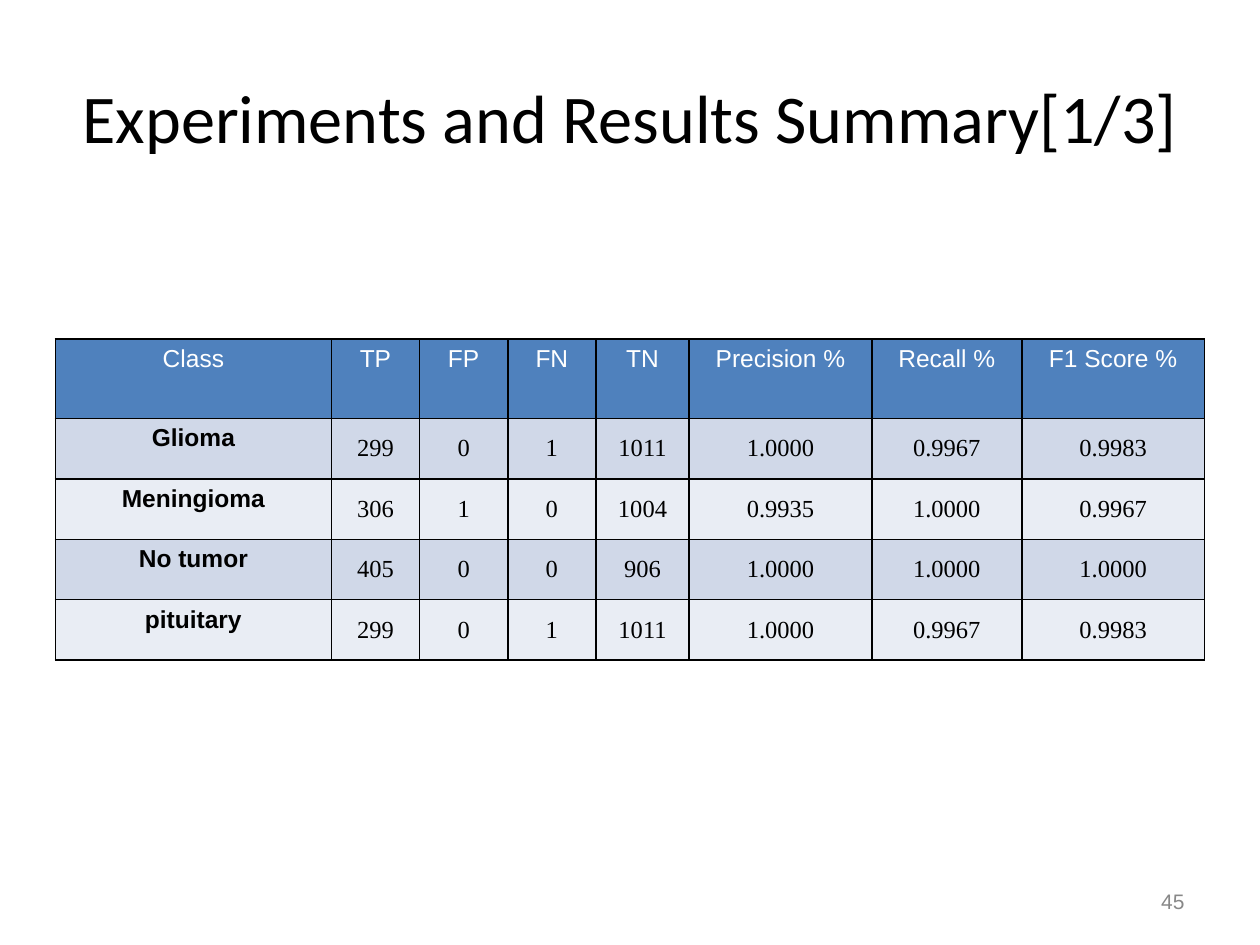
from dataclasses import dataclass

from lxml.etree import SubElement
from pptx import Presentation
from pptx.dml.color import RGBColor
from pptx.enum.text import MSO_ANCHOR, MSO_AUTO_SIZE, PP_ALIGN
from pptx.oxml.ns import qn
from pptx.util import Inches, Pt


@dataclass(frozen=True)
class Theme:
    ink: str = "000000"
    muted: str = "888888"
    header_text: str = "FFFFFF"
    header_fill: str = "4F81BD"
    bands: tuple = ("D0D8E8", "E9EDF4")
    title_font: str = "Calibri"
    label_font: str = "Arial"
    value_font: str = "Times New Roman"
    title_size: int = 39
    table_size: int = 14
    number_size: int = 12
    border_width: int = 1


def set_attributes(target, values):
    for name, value in values.items():
        setattr(target, name, value)


class SlideBuilder:
    COLUMNS = 20
    ROWS = 15

    def __init__(self, presentation, theme):
        self.theme = theme
        self.column = presentation.slide_width / self.COLUMNS
        self.row = presentation.slide_height / self.ROWS
        self.slide = presentation.slides.add_slide(presentation.slide_layouts[5])

    def across(self, columns):
        return round(columns * self.column)

    def down(self, rows):
        return round(rows * self.row)

    def box(self, left, top, width, height):
        return {
            "left": self.across(left),
            "top": self.down(top),
            "width": self.across(width),
            "height": self.down(height),
        }

    def add_text(self, frame, text, font, size, color, align=PP_ALIGN.CENTER, bold=False):
        paragraph = frame.paragraphs[0]
        paragraph.alignment = align
        run = paragraph.add_run()
        run.text = text
        set_attributes(run.font, {"name": font, "size": Pt(size), "bold": bold})
        run.font.color.rgb = RGBColor.from_string(color)

    def format_frame(self, frame):
        set_attributes(frame, {
            "word_wrap": True,
            "auto_size": MSO_AUTO_SIZE.NONE,
            "vertical_anchor": MSO_ANCHOR.MIDDLE,
        })

    def title(self, text, *place):
        shape = self.slide.shapes.title
        set_attributes(shape, self.box(*place))
        self.format_frame(shape.text_frame)
        self.add_text(shape.text_frame, text, self.theme.title_font,
                      self.theme.title_size, self.theme.ink)

    def page_number(self, text, *place):
        shape = self.slide.shapes.add_textbox(**self.box(*place))
        self.format_frame(shape.text_frame)
        self.add_text(shape.text_frame, text, self.theme.label_font,
                      self.theme.number_size, self.theme.muted, PP_ALIGN.RIGHT)

    def border(self, cell):
        properties = cell._tc.get_or_add_tcPr()
        for position, side in enumerate(("a:lnL", "a:lnR", "a:lnT", "a:lnB")):
            line = properties.makeelement(qn(side), {"w": str(Pt(self.theme.border_width))})
            fill = SubElement(line, qn("a:solidFill"))
            SubElement(fill, qn("a:srgbClr"), val=self.theme.ink)
            properties.insert(position, line)

    def cell(self, cell, text, row, column):
        theme = self.theme
        style = {"font": theme.label_font, "size": theme.table_size, "color": theme.ink}
        fill = theme.bands[(row - 1) % len(theme.bands)]
        if row == 0:
            fill = theme.header_fill
            style["color"] = theme.header_text
        elif column == 0:
            style["bold"] = True
        else:
            style["font"] = theme.value_font
            margins = ("margin_left", "margin_top", "margin_right", "margin_bottom")
            set_attributes(cell, dict.fromkeys(margins, Inches(0.01)))
            cell.vertical_anchor = MSO_ANCHOR.MIDDLE
        cell.fill.solid()
        cell.fill.fore_color.rgb = RGBColor.from_string(fill)
        self.border(cell)
        self.add_text(cell.text_frame, text, **style)

    def table(self, records, left, top, widths, heights):
        place = self.box(left, top, sum(widths), sum(heights))
        table = self.slide.shapes.add_table(len(heights), len(widths), **place).table
        for column, width in zip(table.columns, widths):
            column.width = self.across(width)
        for row, height in zip(table.rows, heights):
            row.height = self.down(height)
        for row, record in enumerate(records):
            for column, text in enumerate(record):
                self.cell(table.cell(row, column), text, row, column)


RESULTS = [
    ("Class", "TP", "FP", "FN", "TN", "Precision %", "Recall %", "F1 Score %"),
    ("Glioma", "299", "0", "1", "1011", "1.0000", "0.9967", "0.9983"),
    ("Meningioma", "306", "1", "0", "1004", "0.9935", "1.0000", "0.9967"),
    ("No tumor", "405", "0", "0", "906", "1.0000", "1.0000", "1.0000"),
    ("pituitary", "299", "0", "1", "1011", "1.0000", "0.9967", "0.9983"),
]


def main():
    presentation = Presentation()
    set_attributes(presentation, {"slide_width": Inches(10), "slide_height": Inches(7.5)})
    builder = SlideBuilder(presentation, Theme())
    builder.title("Experiments and Results Summary[1/3]", 1, 0.6, 18, 2.5)
    builder.page_number("45", 14.34, 13.9, 4.66, 0.8)
    builder.table(
        RESULTS, 0.88, 5.38,
        widths=[4.38, 1.4, 1.4, 1.4, 1.48, 2.9, 2.38, 2.9],
        heights=[1.26] + [0.96] * 4,
    )
    presentation.save("out.pptx")


if __name__ == "__main__":
    main()
